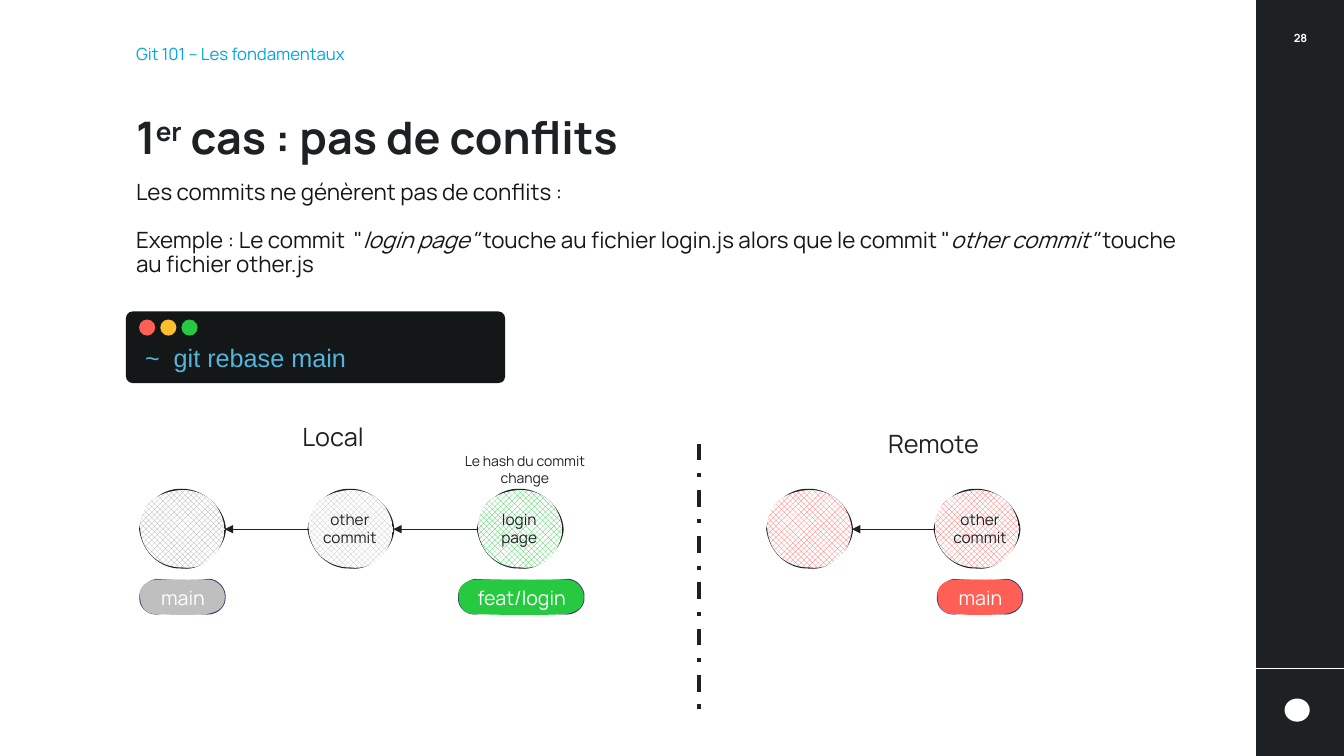
import copy
import dataclasses

import lxml.etree
import pptx
import pptx.dml.color
import pptx.enum.dml
import pptx.enum.shapes
import pptx.enum.text
import pptx.oxml.ns
import pptx.util

Inches = pptx.util.Inches
qn = pptx.oxml.ns.qn
SHAPES = pptx.enum.shapes.MSO_SHAPE
ANCHOR = pptx.enum.text.MSO_ANCHOR
CENTER = pptx.enum.text.PP_ALIGN.CENTER


@dataclasses.dataclass(frozen=True)
class Theme:
    font: str = "Manrope"
    code_font: str = "Arial"
    ink: str = "1E2124"
    body: str = "141718"
    white: str = "FFFFFF"
    accent: str = "00A5E5"
    command: str = "54B5DB"
    red: str = "FF5F55"
    yellow: str = "FFBE2D"
    green: str = "26C93F"
    gray: str = "A6A6A6"
    light_gray: str = "BFBFBF"
    tag_line: str = "373E6F"
    title_size: int = 32
    heading_size: int = 18
    body_size: int = 16
    tag_size: int = 14
    section_size: int = 12
    commit_size: int = 11
    note_size: int = 10
    number_size: int = 8


THEME = Theme()
COMMIT_WIDTH = 0.84


def rgb(color):
    return pptx.dml.color.RGBColor.from_string(color)


def write(paragraph, text, size, color=THEME.ink, font=THEME.font, bold=False, italic=False, baseline=0):
    run = paragraph.add_run()
    run.text = text
    run.font.size = pptx.util.Pt(size)
    run.font.name = font
    run.font.bold = bold
    run.font.italic = italic
    run.font.color.rgb = rgb(color)
    if baseline:
        run.font._element.set("baseline", str(baseline * 1000))


def add_label(slide, box, text, align=None, anchor=ANCHOR.TOP, wrap=True, **text_format):
    frame = slide.shapes.add_textbox(*map(Inches, box)).text_frame
    frame.word_wrap = wrap
    frame.vertical_anchor = anchor
    frame.paragraphs[0].alignment = align
    write(frame.paragraphs[0], text, **text_format)


def place(placeholder, box, anchor):
    placeholder.left, placeholder.top, placeholder.width, placeholder.height = map(Inches, box)
    frame = placeholder.text_frame
    frame.auto_size = pptx.enum.text.MSO_AUTO_SIZE.NONE
    frame.word_wrap = True
    frame.vertical_anchor = anchor
    return frame


def format_paragraph(paragraph, spacing, before=0):
    properties = paragraph._p.get_or_add_pPr()
    properties.set("marL", "0")
    properties.set("indent", "0")
    lxml.etree.SubElement(properties, qn("a:buNone"))
    paragraph.alignment = pptx.enum.text.PP_ALIGN.LEFT
    paragraph.line_spacing = spacing
    paragraph.space_before = pptx.util.Pt(before)


def add_solid(slide, kind, box, color):
    shape = slide.shapes.add_shape(kind, *map(Inches, box))
    shape.shadow.inherit = False
    shape.fill.solid()
    shape.fill.fore_color.rgb = rgb(color)
    shape.line.fill.background()
    return shape


def add_line(slide, start, end, color, width, arrow=False):
    line = slide.shapes.add_connector(
        pptx.enum.shapes.MSO_CONNECTOR.STRAIGHT, *map(Inches, (*start, *end)))
    line.line.color.rgb = rgb(color)
    line.line.width = pptx.util.Pt(width)
    if arrow:
        lxml.etree.SubElement(line.line._get_or_add_ln(), qn("a:tailEnd"), type="triangle")
    lxml.etree.SubElement(line._element.spPr, qn("a:effectLst"))
    return line


def add_curves(outline, start, curves):
    """Fill an outline element with a start point and cubic curves, in inches."""
    for child in list(outline):
        outline.remove(child)
    steps = [("a:moveTo", [start]), *(("a:cubicBezTo", curve) for curve in curves), ("a:close", [])]
    for tag, points in steps:
        step = lxml.etree.SubElement(outline, qn(tag))
        for x, y in points:
            lxml.etree.SubElement(step, qn("a:pt"), x=str(Inches(x)), y=str(Inches(y)))


# Hand-drawn shape: one wobbly line and one wobbly filled area
def add_sketch(slide, left, top, start, stroke, body, line_color, line_width):
    corners = [(Inches(left + x), Inches(top + y)) for _, _, (x, y) in stroke]
    builder = slide.shapes.build_freeform(*corners[-1], scale=1.0)
    builder.add_line_segments(corners, close=True)
    shape = builder.convert_to_shape()
    shape.shadow.inherit = False
    shape.line.color.rgb = rgb(line_color)
    shape.line.width = pptx.util.Pt(line_width)
    line_outline = shape._element.find(".//" + qn("a:path"))
    fill_outline = copy.deepcopy(line_outline)
    line_outline.addnext(fill_outline)
    line_outline.set("fill", "none")
    fill_outline.set("stroke", "0")
    add_curves(line_outline, start, stroke)
    add_curves(fill_outline, start, body)
    return shape


def add_commit(slide, left, top, text, color, label_shift):
    start = (0, 0.39)
    stroke = [((0.03, 0.18), (0.19, -0.01), (0.42, 0)), ((0.62, 0), (0.83, 0.18), (0.84, 0.39)),
              ((0.84, 0.56), (0.63, 0.8), (0.42, 0.77)), ((0.2, 0.78), (0.03, 0.61), start)]
    body = [((-0.01, 0.17), (0.14, 0.02), (0.42, 0)), ((0.68, 0.01), (0.81, 0.17), (0.84, 0.39)),
            ((0.82, 0.62), (0.65, 0.8), (0.42, 0.77)), ((0.18, 0.77), (0.02, 0.61), start)]
    shape = add_sketch(slide, left, top, start, stroke, body, THEME.ink, 1.5)
    shape.fill.patterned()
    shape.fill.pattern = pptx.enum.dml.MSO_PATTERN_TYPE.OUTLINED_DIAMOND
    shape.fill.fore_color.rgb = rgb(color)
    shape.fill.back_color.rgb = rgb(THEME.white)
    if text:
        add_label(slide, (left + label_shift, top + 0.15, 0.82, 0.47), text, align=CENTER,
                  size=THEME.commit_size)


def add_tag(slide, left, top, width, text, color):
    w, start = width, (0, 0.17)
    stroke = [((-0.01, 0.09), (0.09, 0.01), (0.16, 0)), ((0.27, 0.01), (w - 0.28, 0.02), (w - 0.18, 0)),
              ((w - 0.08, -0.01), (w, 0.1), (w - 0.01, 0.17)), ((w, 0.26), (w - 0.08, 0.34), (w - 0.18, 0.34)),
              ((w - 0.42, 0.33), (0.37, 0.32), (0.16, 0.34)), ((0.06, 0.34), (-0.01, 0.26), start)]
    body = [((-0.02, 0.07), (0.07, 0.01), (0.16, 0)), ((0.29, 0), (w - 0.35, 0), (w - 0.18, 0)),
            ((w - 0.09, 0), (w - 0.01, 0.08), (w - 0.01, 0.17)),
            ((w - 0.01, 0.29), (w - 0.09, 0.32), (w - 0.18, 0.34)),
            ((w - 0.39, 0.36), (0.27, 0.35), (0.16, 0.34)), ((0.05, 0.35), (0, 0.26), start)]
    shape = add_sketch(slide, left, top, start, stroke, body, THEME.tag_line, 1)
    shape.fill.solid()
    shape.fill.fore_color.rgb = rgb(color)
    add_label(slide, (left + 0.07, top + 0.01, width - 0.14, 0.34), text, align=CENTER, wrap=False,
              size=THEME.tag_size, color=THEME.white)


def add_history(slide, left, top, commits, tags, label_shift=0):
    previous = None
    for offset, text, color in commits:
        add_commit(slide, left + offset, top, text, color, label_shift)
        if previous is not None:
            add_line(slide, (left + offset, top + 0.39), (left + previous + COMMIT_WIDTH, top + 0.39),
                     THEME.ink, 0.5, arrow=True)
        previous = offset
    for offset, text, width, color in tags:
        add_tag(slide, left + offset, top + 0.89, width, text, color)


def add_sidebar(slide, left, top, width, height):
    add_solid(slide, SHAPES.RECTANGLE, (left, top, width, height), THEME.ink)
    add_line(slide, (left, top + 6.63), (left + width, top + 6.63), THEME.white, 0.62)
    add_solid(slide, SHAPES.OVAL, (left + 0.28, top + 6.93, 0.25, 0.23), THEME.white)
    add_label(slide, (left + 0.21, top + 0.18, 0.46, 0.4), "28", align=CENTER, anchor=ANCHOR.MIDDLE,
              size=THEME.number_size, color=THEME.white, bold=True)


def add_texts(slide, left, width):
    title, section, body = slide.placeholders
    # Title
    paragraph = place(title, (left, 1.08, width, 0.6), ANCHOR.BOTTOM).paragraphs[0]
    format_paragraph(paragraph, 0.9)
    for text, baseline in (("1", 0), ("er", 30), (" cas : pas de conflits", 0)):
        write(paragraph, text, size=THEME.title_size, bold=True, baseline=baseline)
    # Section name
    paragraph = place(section, (left, 0.39, width, 0.29), ANCHOR.BOTTOM).paragraphs[0]
    format_paragraph(paragraph, 1.2)
    write(paragraph, "Git 101 – Les fondamentaux", size=THEME.section_size, color=THEME.accent)
    # Explanation
    frame = place(body, (left, 1.75, width, 1.32), ANCHOR.TOP)
    intro, example = frame.paragraphs[0], frame.add_paragraph()
    format_paragraph(intro, 0.9)
    write(intro, "Les commits ne génèrent pas de conflits :", size=THEME.body_size, color=THEME.body)
    format_paragraph(example, 0.9, before=17)
    for index, text in enumerate(('Exemple : Le commit  "', 'login page" ',
                                  'touche au fichier login.js alors que le commit "',
                                  'other commit" ', "touche au fichier other.js")):
        write(example, text, size=THEME.body_size, color=THEME.body, italic=index % 2 == 1)


def add_terminal(slide, left, top, width, height):
    window = add_solid(slide, SHAPES.ROUNDED_RECTANGLE, (left, top, width, height), THEME.body)
    window.adjustments[0] = 0.09
    for index, color in enumerate((THEME.red, THEME.yellow, THEME.green)):
        add_solid(slide, SHAPES.OVAL, (left + 0.13 + index * 0.21, top + 0.08, 0.16, 0.16), color)
    add_label(slide, (left + 0.09, top + 0.26, width - 0.09, 0.4), "~  git rebase main",
              size=THEME.heading_size, color=THEME.command, font=THEME.code_font)


def add_diagram(slide, left, top):
    # Local side
    add_label(slide, (left + 1.51, top - 0.73, 0.85, 0.4), "Local", wrap=False, size=THEME.heading_size)
    add_history(slide, left, top,
                [(0, "", THEME.gray), (1.67, "other commit", THEME.light_gray),
                 (3.35, "login page", THEME.green)],
                [(0, "main", 0.85, THEME.light_gray), (3.16, "feat/login", 1.25, THEME.green)])
    add_label(slide, (left + 3.04, top - 0.42, 1.55, 0.44), "Le hash du commit change",
              align=CENTER, size=THEME.note_size)
    # Separator
    divider = add_line(slide, (left + 5.54, top - 0.46), (left + 5.54, top + 2.18), THEME.ink, 3)
    divider.line.dash_style = pptx.enum.dml.MSO_LINE_DASH_STYLE.DASH_DOT
    # Remote side
    add_label(slide, (left + 7.32, top - 0.66, 1.17, 0.4), "Remote", wrap=False, size=THEME.heading_size)
    add_history(slide, left + 6.22, top, [(0, "", THEME.red), (1.66, "other commit", THEME.red)],
                [(1.69, "main", 0.85, THEME.red)], label_shift=0.04)


def main():
    presentation = pptx.Presentation()
    presentation.slide_width, presentation.slide_height = Inches(13.33), Inches(7.5)
    slide = presentation.slides.add_slide(presentation.slide_layouts[3])
    add_sidebar(slide, 12.46, 0, 0.87, 7.5)
    add_texts(slide, 1.25, 10.8)
    add_terminal(slide, 1.25, 3.09, 3.76, 0.71)
    add_diagram(slide, 1.39, 4.86)
    presentation.save("out.pptx")


if __name__ == "__main__":
    main()
